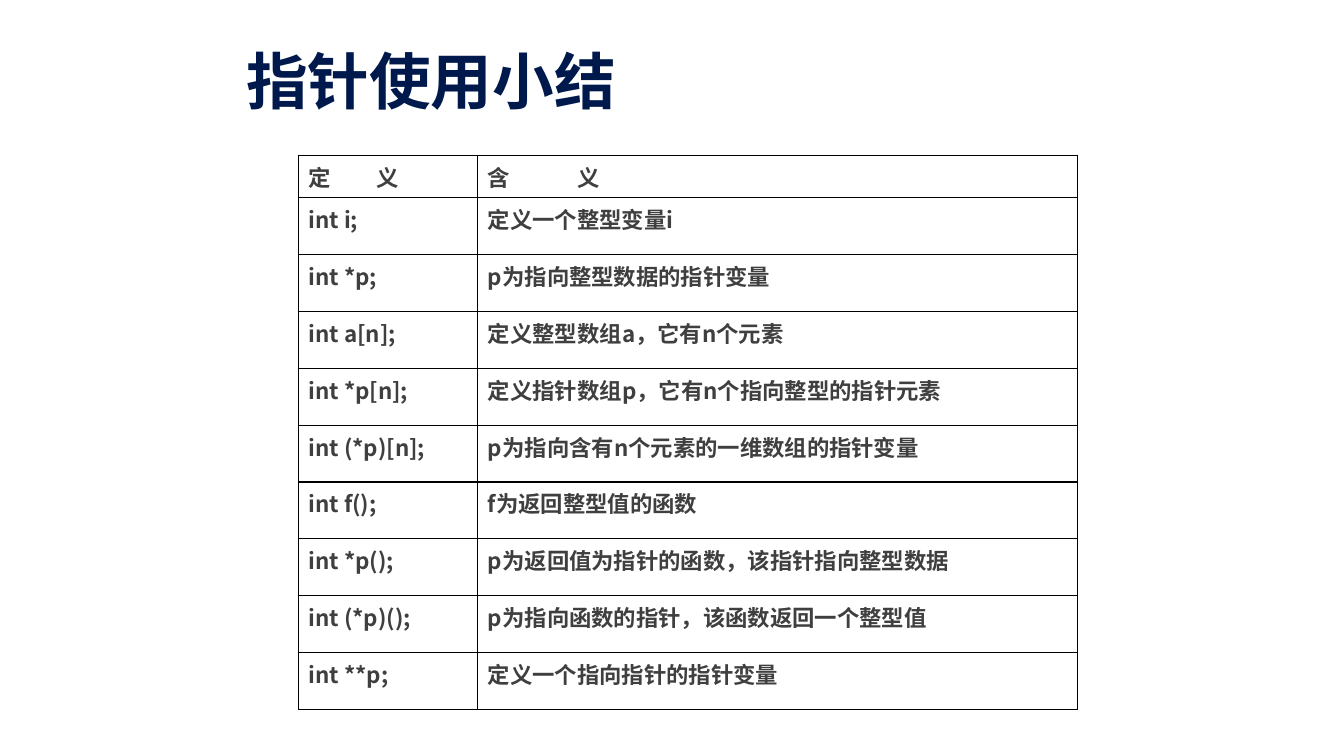
"""Build a slide that sums up C pointer declarations in a two-column table."""
from lxml.etree import SubElement
from pptx import Presentation
from pptx.dml.color import RGBColor
from pptx.enum.text import MSO_ANCHOR, PP_ALIGN
from pptx.oxml.ns import qn
from pptx.util import Inches, Pt

COLORS = {"title": "00194C", "text": "3F3F3F", "border": "000000"}
FONT = "Noto Sans CJK SC"
COLUMN_WIDTHS = [1.78, 5.95]
TABLE_LEFT, TABLE_TOP, TABLE_HEIGHT = 2.96, 1.54, 5.49
HEADER_HEIGHT = 0.41
HANGING_INDENT = 0.38
HEADER_TABS = [0.67, 0.89]
ROWS = [
    ("定\t义", "含\t义"),
    ("int i;", "定义一个整型变量i"),
    ("int *p;", "p为指向整型数据的指针变量"),
    ("int a[n];", "定义整型数组a，它有n个元素"),
    ("int *p[n];", "定义指针数组p，它有n个指向整型的指针元素"),
    ("int (*p)[n];", "p为指向含有n个元素的一维数组的指针变量"),
    ("int f();", "f为返回整型值的函数"),
    ("int *p();", "p为返回值为指针的函数，该指针指向整型数据"),
    ("int (*p)();", "p为指向函数的指针，该函数返回一个整型值"),
    ("int **p;", "定义一个指向指针的指针变量"),
]


def write_text(text_frame, text, size, color, line_spacing=1.0):
    """Write one bold left-aligned paragraph and return it."""
    paragraph = text_frame.paragraphs[0]
    paragraph.alignment = PP_ALIGN.LEFT
    paragraph.line_spacing = line_spacing
    run = paragraph.add_run()
    run.text = text
    run.font.size = Pt(size)
    run.font.bold = True
    run.font.name = FONT
    run.font.color.rgb = RGBColor.from_string(COLORS[color])
    SubElement(run.font._element, qn("a:ea"), typeface=FONT)
    return paragraph


def draw_borders(cell, color, width):
    """Draw a solid line on the four sides of a table cell."""
    properties = cell._tc.get_or_add_tcPr()
    for position, side in enumerate(("lnL", "lnR", "lnT", "lnB")):
        line = SubElement(properties, qn(f"a:{side}"), w=str(Pt(width)))
        fill = SubElement(line, qn("a:solidFill"))
        SubElement(fill, qn("a:srgbClr"), val=COLORS[color])
        properties.insert(position, line)


presentation = Presentation()
presentation.slide_width = Inches(13.33)
presentation.slide_height = Inches(7.5)
slide = presentation.slides.add_slide(presentation.slide_layouts[5])

title = slide.shapes.title
title.left, title.top = Inches(2.34), Inches(0.22)
title.width, title.height = Inches(9.33), Inches(0.95)
title.text_frame.vertical_anchor = MSO_ANCHOR.BOTTOM
title.text_frame.margin_bottom = 0
write_text(title.text_frame, "指针使用小结", size=44, color="title", line_spacing=0.9)

table = slide.shapes.add_table(
    len(ROWS), len(COLUMN_WIDTHS), Inches(TABLE_LEFT), Inches(TABLE_TOP),
    Inches(sum(COLUMN_WIDTHS)), Inches(TABLE_HEIGHT),
).table
table.horz_banding = False

for column, width in zip(table.columns, COLUMN_WIDTHS):
    column.width = Inches(width)

body_height = (TABLE_HEIGHT - HEADER_HEIGHT) / (len(ROWS) - 1)
for row_index, texts in enumerate(ROWS):
    is_header = row_index == 0
    table.rows[row_index].height = Inches(HEADER_HEIGHT if is_header else body_height)
    for column_index, text in enumerate(texts):
        cell = table.cell(row_index, column_index)
        cell.fill.background()
        draw_borders(cell, color="border", width=1)
        paragraph = write_text(cell.text_frame, text, size=16, color="text")
        paragraph_properties = paragraph._p.get_or_add_pPr()
        if is_header:
            tabs = SubElement(paragraph_properties, qn("a:tabLst"))
            SubElement(tabs, qn("a:tab"), pos=str(Inches(HEADER_TABS[column_index])), algn="l")
        else:
            paragraph_properties.set("marL", str(Inches(HANGING_INDENT)))
            paragraph_properties.set("indent", str(-Inches(HANGING_INDENT)))

presentation.save("out.pptx")
